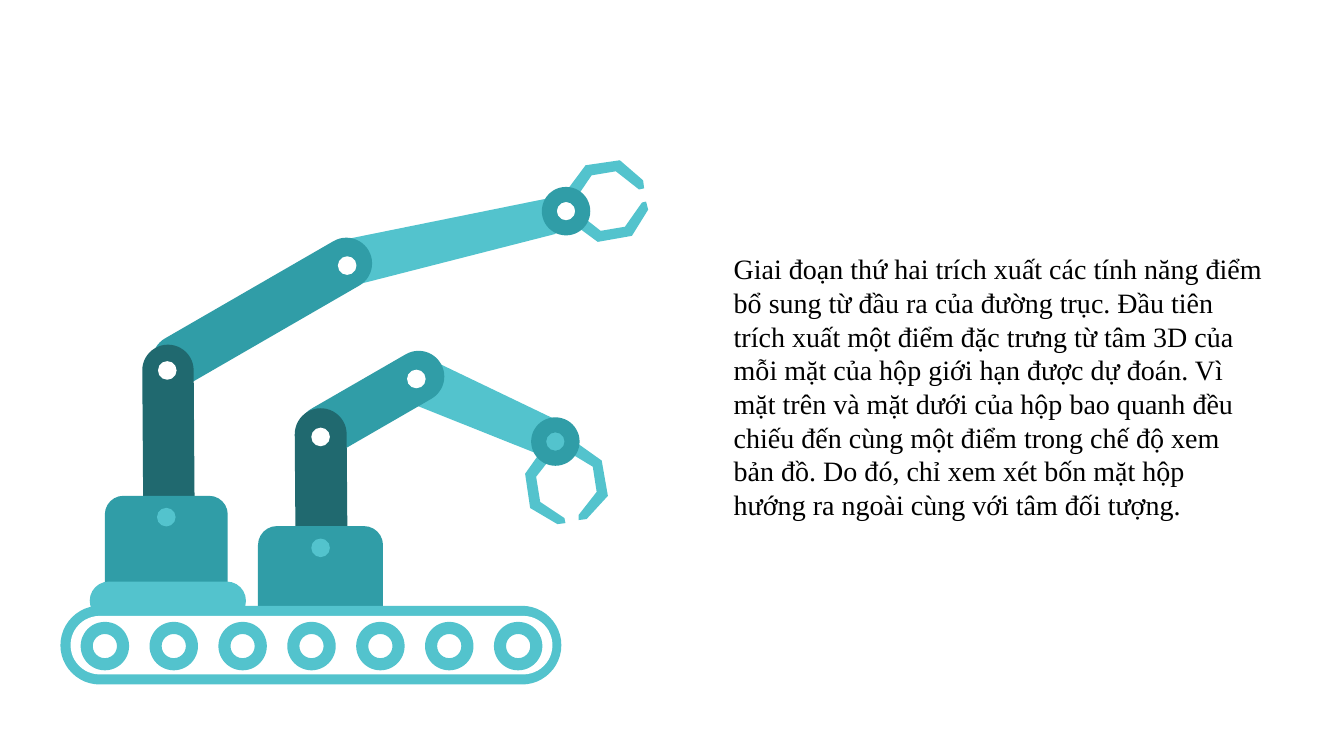
from pptx import Presentation
from pptx.dml.color import RGBColor
from pptx.enum.shapes import MSO_SHAPE
from pptx.enum.text import MSO_AUTO_SIZE, PP_ALIGN
from pptx.util import Pt

TRAPEZOID = MSO_SHAPE.TRAPEZOID
ROUNDED = MSO_SHAPE.ROUNDED_RECTANGLE
ROUND_TOP = MSO_SHAPE.ROUND_2_SAME_RECTANGLE
OVAL = MSO_SHAPE.OVAL
DONUT = MSO_SHAPE.DONUT
LEFT = PP_ALIGN.LEFT
FIT_SHAPE = MSO_AUTO_SIZE.SHAPE_TO_FIT_TEXT

AQUA = RGBColor(0x53, 0xC3, 0xCD)
TEAL = RGBColor(0x30, 0x9D, 0xA7)
DARK_TEAL = RGBColor(0x20, 0x69, 0x6F)
WHITE = RGBColor(0xFF, 0xFF, 0xFF)
BLACK = RGBColor(0x00, 0x00, 0x00)

PIVOT_SIZE = 13.3
RING_SIZE = 34.6


def add_part(group, kind, box, color, adjustment=None, rotation=0):
    shape = group.shapes.add_shape(kind, *[Pt(value) for value in box])
    shape.shadow.inherit = False
    shape.fill.solid()
    shape.fill.fore_color.rgb = color
    shape.line.fill.background()
    shape.rotation = rotation
    if adjustment is not None:
        shape.adjustments[0] = adjustment


def add_text(slide, text, box, font="Times New Roman", size=20, color=BLACK, align=LEFT):
    text_box = slide.shapes.add_textbox(*[Pt(value) for value in box])
    frame = text_box.text_frame
    frame.word_wrap = True
    frame.auto_size = FIT_SHAPE
    paragraph = frame.paragraphs[0]
    paragraph.alignment = align
    run = paragraph.add_run()
    run.text = text
    run.font.name = font
    run.font.size = Pt(size)
    run.font.color.rgb = color


presentation = Presentation()
presentation.slide_width = Pt(960)
presentation.slide_height = Pt(540)
slide = presentation.slides.add_slide(presentation.slide_layouts[6])

# Robots: boxes are left, top, width, height; pivots and wrist are centres
robots = [
    {
        "forearm": (332.6, 235.4, 34.6, 117.4), "forearm_angle": 113.7,
        "upper_arm": (208.1, 270, 114.5, 36.7),
        "tower": (210.8, 291.6, 37.1, 110.5),
        "base": (184.3, 375.8, 89.3, 71.3),
        "foot": None,
        "elbow": (297.4, 270.7), "shoulder": (229, 312.1), "base_dot": (229, 391.3),
        "wrist": (396.7, 315.4),
        "claws": [
            [(412.6, 316.8), (429.8, 329), (434.2, 354.2), (419, 370.8), (413.3, 371.5),
             (413.3, 367.9), (426.2, 351.4), (423.4, 333.4), (409, 324.7)],
            [(387.4, 321.1), (375.1, 338.4), (378.7, 362.9), (398.2, 374.4), (403.9, 373.7),
             (403.2, 370.1), (385.9, 358.6), (383, 340.6), (393.1, 327.6)],
        ],
    },
    {
        "forearm": (301.7, 94.3, 33.8, 154.8), "forearm_angle": 77.1,
        "upper_arm": (99.4, 204.5, 175.7, 36.7),
        "tower": (101.9, 246.2, 36.7, 109.4),
        "base": (74.9, 354.2, 87.8, 69.8),
        "foot": (64.1, 415.4, 111.6, 27.4),
        "elbow": (248, 189.7), "shoulder": (119.5, 264.6), "base_dot": (118.8, 369.4),
        "wrist": (404.3, 150.8),
        "claws": [
            [(405.4, 135.4), (418.3, 118.1), (442.8, 114.5), (459.4, 128.9), (460.1, 134.6),
             (456.5, 135.4), (439.9, 122.4), (422.6, 125.3), (413.3, 139)],
            [(410.4, 160.6), (427, 172.8), (451.4, 168.5), (463, 149.8), (461.5, 144),
             (458.6, 144.7), (446.4, 162), (429.1, 164.9), (416.2, 154.8)],
        ],
    },
]

for robot in robots:
    group = slide.shapes.add_group_shape()

    # Arm and tower
    add_part(group, TRAPEZOID, robot["forearm"], AQUA, 0.115, robot["forearm_angle"])
    add_part(group, ROUNDED, robot["upper_arm"], TEAL, 0.5, 330)
    add_part(group, ROUND_TOP, robot["tower"], DARK_TEAL, 0.5, 359.6)

    # Claws and wrist
    for outline in robot["claws"]:
        points = [(Pt(x), Pt(y)) for x, y in outline]
        builder = group.shapes.build_freeform(*points[0])
        builder.add_line_segments(points[1:], close=True)
        claw = builder.convert_to_shape()
        claw.shadow.inherit = False
        claw.fill.solid()
        claw.fill.fore_color.rgb = AQUA
        claw.line.fill.background()
    x, y = robot["wrist"]
    wrist_box = (x - RING_SIZE / 2, y - RING_SIZE / 2, RING_SIZE, RING_SIZE)
    add_part(group, DONUT, wrist_box, TEAL, 0.31)

    # Base, foot and pivots
    add_part(group, ROUND_TOP, robot["base"], TEAL, 0.19)
    if robot["foot"]:
        add_part(group, ROUNDED, robot["foot"], AQUA, 0.5)
    for name, color in [("elbow", WHITE), ("shoulder", WHITE), ("base_dot", AQUA)]:
        x, y = robot[name]
        pivot_box = (x - PIVOT_SIZE / 2, y - PIVOT_SIZE / 2, PIVOT_SIZE, PIVOT_SIZE)
        add_part(group, OVAL, pivot_box, color)

# Conveyor belt with seven wheels
conveyor = slide.shapes.add_group_shape()
add_part(conveyor, ROUNDED, (43.2, 432.7, 357.8, 56.2), AQUA, 0.5)
add_part(conveyor, ROUNDED, (50.4, 439.9, 344.2, 41.8), WHITE, 0.5)
for index in range(7):
    add_part(conveyor, DONUT, (57.6 + 49.2 * index, 444.2, RING_SIZE, RING_SIZE), AQUA, 0.25)

# Description
add_text(
    slide,
    "Giai đoạn thứ hai trích xuất các tính năng điểm bổ sung từ đầu ra của đường trục. "
    "Đầu tiên trích xuất một điểm đặc trưng từ tâm 3D của mỗi mặt của hộp giới hạn được "
    "dự đoán. Vì mặt trên và mặt dưới của hộp bao quanh đều chiếu đến cùng một điểm trong "
    "chế độ xem bản đồ. Do đó, chỉ xem xét bốn mặt hộp hướng ra ngoài cùng với tâm đối tượng.",
    (517, 176.4, 392.4, 200.9),
)

presentation.save("out.pptx")
